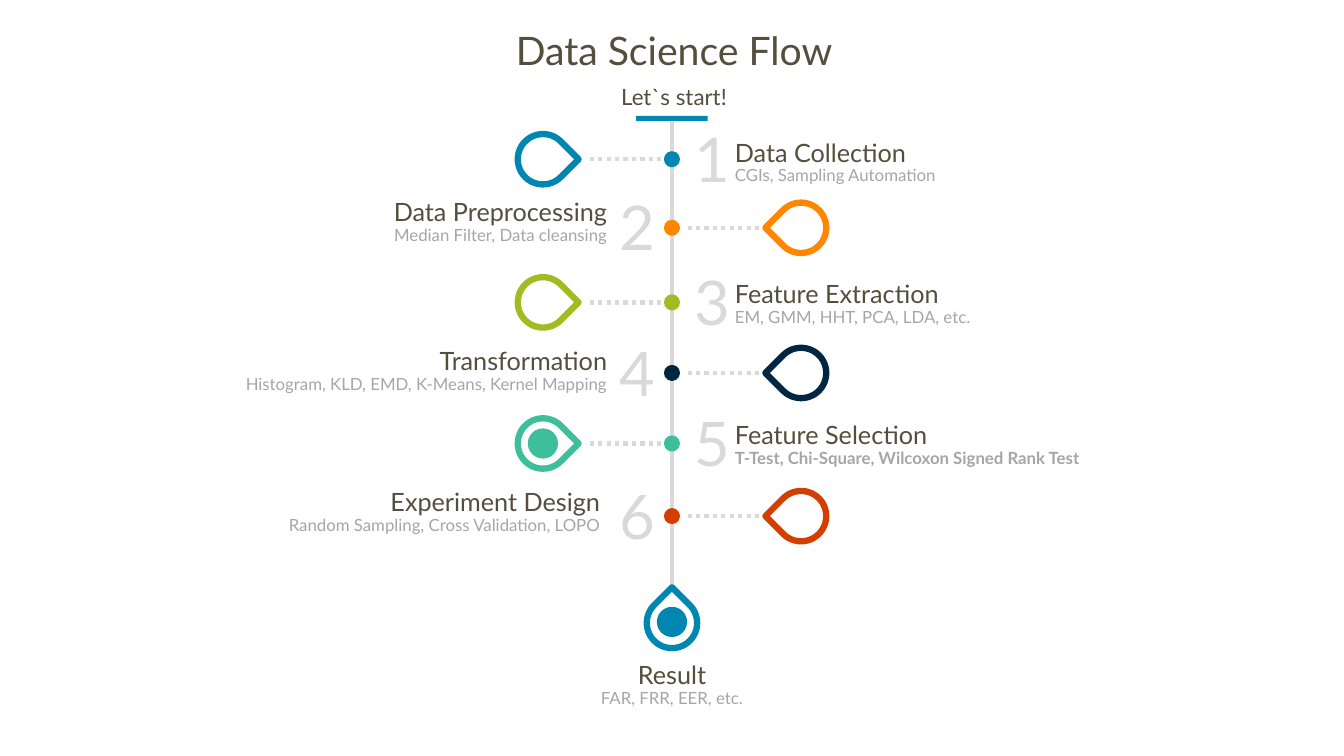
"""Build the Data Science Flow slide: a vertical timeline of six steps and a result."""
import pptx
import pptx.dml.color
import pptx.enum.dml
import pptx.enum.shapes
import pptx.enum.text
import pptx.util
from lxml import etree

COLORS = {
    "ink": "544E3C", "muted": "A6A6A6", "rule": "D9D9D9", "white": "FFFFFF",
    "bar": "0087B2", "blue": "0087B1", "orange": "FF8601", "green": "A1BB22",
    "navy": "012641", "teal": "3DBF9C", "red": "D43E01",
}
FONT = "Lato"
HEADING, INTRO = "Data Science Flow", "Let`s start!"
STEPS = [
    dict(name="Data Collection", detail="CGIs, Sampling Automation",
         color="blue", row=15.8, text_row=13.1, edge=71.9),
    dict(name="Data Preprocessing", detail="Median Filter, Data cleansing",
         color="orange", row=22.6, text_row=19, edge=61.2),
    dict(name="Feature Extraction", detail="EM, GMM, HHT, PCA, LDA, etc.",
         color="green", row=30, text_row=27.1, edge=71.9),
    dict(name="Transformation", detail="Histogram, KLD, EMD, K-Means, Kernel Mapping",
         color="navy", row=37, text_row=33.8, edge=61.2),
    dict(name="Feature Selection", detail="T-Test, Chi-Square, Wilcoxon Signed Rank Test",
         color="teal", row=44, text_row=41.1, edge=71.9, bold=True, core=True),
    dict(name="Experiment Design", detail="Random Sampling, Cross Validation, LOPO",
         color="red", row=51.2, text_row=47.8, edge=60.5),
]
RESULT = dict(name="Result", detail="FAR, FRR, EER, etc.", color="blue",
              row=61.8, core_row=61.7, text_row=64.9)
SIDES = [
    dict(pin=-12.8, turn=45, dots=-8.15, number=67.9, align="l"),
    dict(pin=12.8, turn=225, dots=1.55, number=60.45, align="r"),
]

COLS, ROWS = 133.3, 75
CELL = pptx.util.Inches(0.1)
AXIS = 66.65
TEXT_W, DOTS_W = 42.1, 7.2
PIN, CORE, DOT = 5, 3, 1.6
ALIGN = {"l": pptx.enum.text.PP_ALIGN.LEFT, "c": pptx.enum.text.PP_ALIGN.CENTER,
         "r": pptx.enum.text.PP_ALIGN.RIGHT}
SHAPE = pptx.enum.shapes.MSO_SHAPE

prs = pptx.Presentation()
prs.slide_width, prs.slide_height = int(COLS * CELL), int(ROWS * CELL)
s = prs.slides.add_slide(prs.slide_layouts[6])


def grid(*cells):
    return [int(c * CELL) for c in cells]


def rgb(name):
    return pptx.dml.color.RGBColor.from_string(COLORS[name])


def add_text(text, left, top, width, height, size=18, color="ink", align="l", bold=False):
    tf = s.shapes.add_textbox(*grid(left, top, width, height)).text_frame
    tf.word_wrap = True
    tf.auto_size = pptx.enum.text.MSO_AUTO_SIZE.SHAPE_TO_FIT_TEXT
    p = tf.paragraphs[0]
    p.alignment = ALIGN[align]
    r = p.add_run()
    r.text = text
    r.font.name, r.font.size, r.font.bold = FONT, pptx.util.Pt(size), bold
    r.font.color.rgb = rgb(color)


def add_shape(kind, x, y, width, height, fill=None, line=None, turn=0):
    sp = s.shapes.add_shape(kind, *grid(x - width / 2, y - height / 2, width, height))
    sp.shadow.inherit = False
    sp.rotation = turn
    if fill:
        sp.fill.solid()
        sp.fill.fore_color.rgb = rgb(fill)
    else:
        sp.fill.background()
    if line:
        sp.line.color.rgb = rgb(line)
        sp.line.width = pptx.util.Pt(4.5)
    else:
        sp.line.fill.background()
    return sp


def add_line(x1, y1, x2, y2, width, dash=None):
    cx = s.shapes.add_connector(pptx.enum.shapes.MSO_CONNECTOR.STRAIGHT, *grid(x1, y1, x2, y2))
    cx.line.color.rgb = rgb("rule")
    cx.line.width = pptx.util.Pt(width)
    if dash:
        cx.line.dash_style = dash
    sp_pr = cx.line._get_or_add_ln().getparent()
    etree.SubElement(sp_pr, pptx.oxml.ns.qn("a:effectLst"))
    return cx


def add_labels(step, left, align):
    top = step["text_row"]
    add_text(step["name"], left, top, TEXT_W, 4, align=align)
    add_text(step["detail"], left, top + 2.8, TEXT_W, 3, size=12, color="muted",
             align=align, bold=step.get("bold", False))


def add_step(number, step):
    side = SIDES[(number - 1) % 2]
    y, color, align = step["row"], step["color"], side["align"]
    dots, pin = AXIS + side["dots"], AXIS + side["pin"]
    add_line(dots, y, dots + DOTS_W, y, 3, pptx.enum.dml.MSO_LINE.ROUND_DOT)
    add_shape(SHAPE.TEAR, pin, y, PIN, PIN, line=color, turn=side["turn"])
    add_shape(SHAPE.OVAL, AXIS, y, DOT, DOT, fill=color)
    if step.get("core"):
        add_shape(SHAPE.OVAL, pin, y, CORE, CORE, fill=color)
    add_text(str(number), side["number"], y - 4.3, 5.4, 8.4, size=44, color="rule")
    add_labels(step, step["edge"] - (TEXT_W if align == "r" else 0), align)


def main():
    s.background.fill.solid()
    s.background.fill.fore_color.rgb = rgb("white")
    add_text(HEADING, 45.8, 2.1, TEXT_W, 5.7, size=28, align="c")
    add_text(INTRO, 45.8, 7.8, TEXT_W, 3.7, size=16, align="c")
    bar = add_shape(SHAPE.RECTANGLE, AXIS, 11.75, 7.1, 0.5, fill="bar")
    add_line(AXIS, 12, AXIS, 58, 2.25).begin_connect(bar, 2)
    for number, step in enumerate(STEPS, 1):
        add_step(number, step)
    add_shape(SHAPE.TEAR, AXIS, RESULT["row"], PIN, PIN, line=RESULT["color"], turn=315)
    add_shape(SHAPE.OVAL, AXIS, RESULT["core_row"], CORE, CORE, fill=RESULT["color"])
    add_labels(RESULT, AXIS - TEXT_W / 2, "c")
    prs.save("out.pptx")


if __name__ == "__main__":
    main()
